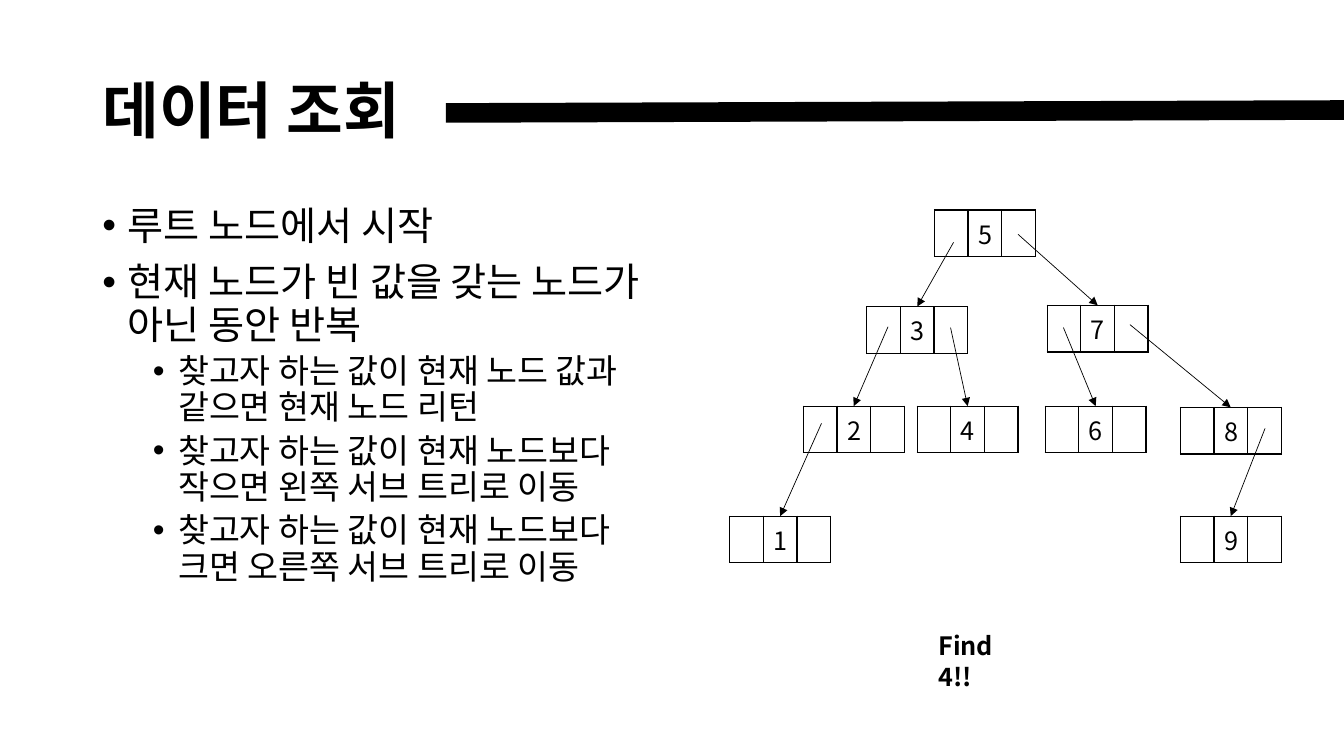
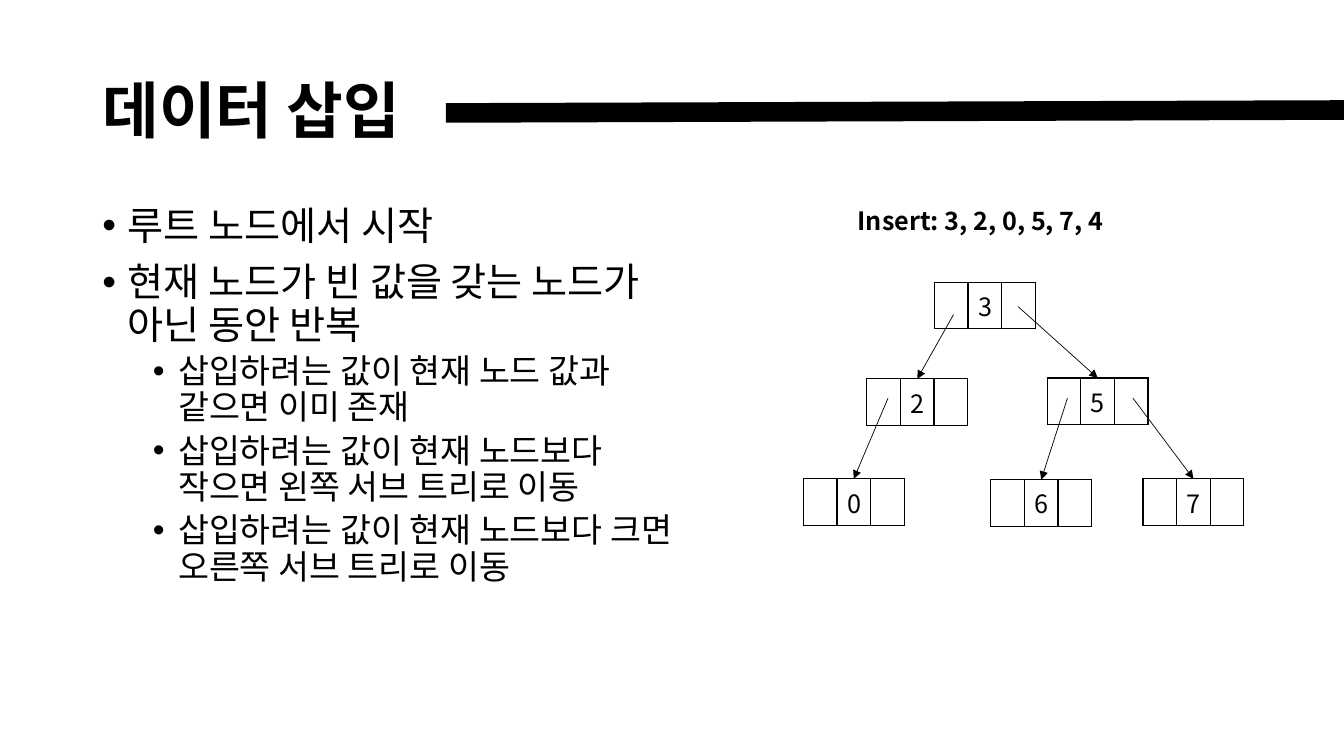
from pptx import Presentation
from pptx.dml.color import RGBColor
from pptx.enum.shapes import MSO_CONNECTOR as Connector
from pptx.enum.text import MSO_ANCHOR as Anchor, MSO_AUTO_SIZE as AutoSize, PP_ALIGN as Align
from pptx.oxml.ns import qn
from pptx.util import Inches, Pt
from lxml.etree import SubElement

COLUMNS, ROWS = 40, 18
NODE_COLUMNS = 3


def color(code):
    return RGBColor.from_string(code)


class TreeDeck:
    font = "Noto Sans CJK KR"
    ink = "000000"
    levels = [(28, 10, 0.25), (24, 5, 0.75)]
    hanging = 0.25

    def __init__(self):
        self.deck = Presentation()
        self.deck.slide_width = Inches(13.33)
        self.deck.slide_height = Inches(7.5)
        self.page = None

    def column(self, count):
        return round(self.deck.slide_width * count / COLUMNS)

    def row(self, count):
        return round(self.deck.slide_height * count / ROWS)

    def area(self, left, top, width, height):
        return self.column(left), self.row(top), self.column(width), self.row(height)

    def place(self, box, *area):
        box.left, box.top, box.width, box.height = self.area(*area)

    def add_span(self, para, text, size, bold=False):
        span = para.add_run()
        span.text = text
        span.font.size = Pt(size)
        span.font.bold = bold
        span.font.name = self.font
        span.font.color.rgb = color(self.ink)
        SubElement(span._r.get_or_add_rPr(), qn("a:ea"), typeface=self.font)

    def add_page(self, heading):
        self.page = self.deck.slides.add_slide(self.deck.slide_layouts[1])
        title = self.page.shapes.title
        self.place(title, 2.75, 0.96, 10.53, 3.48)
        frame = title.text_frame
        frame.auto_size = AutoSize.NONE
        frame.vertical_anchor = Anchor.MIDDLE
        para = frame.paragraphs[0]
        para.alignment = Align.LEFT
        para.line_spacing = 0.9
        self.add_span(para, heading, 44, bold=True)
        self.add_line((13.27, 2.69), (COLUMNS, 2.62), 14)

    def add_list(self, items):
        body = self.page.placeholders[1]
        self.place(body, 2.75, 4.8, 17.7, 11.42)
        frame = body.text_frame
        frame.auto_size = AutoSize.NONE
        for index, (level, text) in enumerate(items):
            para = frame.add_paragraph() if index else frame.paragraphs[0]
            size, space, indent = self.levels[level]
            para.level = level
            para.line_spacing = 0.9
            para.space_before = Pt(space)
            properties = para._p.get_or_add_pPr()
            properties.set("marL", str(Inches(indent)))
            properties.set("indent", str(-Inches(self.hanging)))
            SubElement(properties, qn("a:buFont"), typeface="Arial")
            SubElement(properties, qn("a:buChar"), char="•")
            self.add_span(para, text, size)

    def add_line(self, start, end, weight, arrow=False):
        line = self.page.shapes.add_connector(
            Connector.STRAIGHT,
            self.column(start[0]), self.row(start[1]),
            self.column(end[0]), self.row(end[1]))
        line.line.width = Pt(weight)
        line.line.color.rgb = color(self.ink)
        properties = line.element.spPr
        if arrow:
            SubElement(properties.find(qn("a:ln")), qn("a:tailEnd"), type="triangle")
        SubElement(properties, qn("a:effectLst"))

    def add_border(self, cell):
        properties = cell._tc.get_or_add_tcPr()
        for side in "LRTB":
            edge = SubElement(properties, qn(f"a:ln{side}"), w=str(Pt(1)))
            fill = SubElement(edge, qn("a:solidFill"))
            SubElement(fill, qn("a:srgbClr"), val=self.ink)

    def add_node(self, value, left, top):
        table = self.page.shapes.add_table(
            1, NODE_COLUMNS, *self.area(left, top, NODE_COLUMNS, 1)).table
        table.first_row = False
        table.horz_banding = False
        for cell in table.iter_cells():
            self.add_border(cell)
            cell.fill.background()
        self.add_span(table.cell(0, 1).text_frame.paragraphs[0], value, 18)

    def add_tree(self, nodes, branches):
        for value, (left, top) in nodes.items():
            self.add_node(value, left, top)
        for parent, child, across, down in branches:
            left, top = nodes[parent]
            child_left, child_top = nodes[child]
            self.add_line((left + across, top + down),
                          (child_left + NODE_COLUMNS / 2, child_top), 0.5, arrow=True)

    def add_caption(self, text, left, top, width):
        box = self.page.shapes.add_textbox(*self.area(left, top, width, 0.96))
        box.text_frame.word_wrap = True
        self.add_span(box.text_frame.paragraphs[0], text, 18, bold=True)


SHARED_ITEMS = [
    (0, "루트 노드에서 시작"),
    (0, "현재 노드가 빈 값을 갖는 노드가 아닌 동안 반복"),
]


def steps(subject, when_equal):
    return SHARED_ITEMS + [
        (1, f"{subject} 값이 현재 노드 값과 같으면 {when_equal}"),
        (1, f"{subject} 값이 현재 노드보다 작으면 왼쪽 서브 트리로 이동"),
        (1, f"{subject} 값이 현재 노드보다 크면 오른쪽 서브 트리로 이동"),
    ]


SEARCH_NODES = {
    "5": (27.81, 5), "3": (25.8, 7.3), "7": (31.17, 7.27),
    "2": (23.91, 9.67), "4": (27.3, 9.67), "6": (31.11, 9.67),
    "8": (35.13, 9.7), "1": (21.72, 12.29), "9": (35.13, 12.29),
}
SEARCH_BRANCHES = [
    ("5", "3", 0.57, 0.77), ("5", "7", 2.49, 0.58),
    ("3", "2", 0.63, 0.48), ("3", "4", 2.49, 0.5),
    ("7", "6", 0.48, 0.53), ("7", "8", 2.46, 0.46),
    ("2", "1", 0.54, 0.41), ("8", "9", 2.52, 0.5),
]
INSERT_NODES = {
    "3": (27.81, 6.72), "2": (25.8, 9.02), "5": (31.17, 9),
    "0": (23.91, 11.4), "6": (29.49, 11.42), "7": (34.02, 11.4),
}
INSERT_BRANCHES = [
    ("3", "2", 0.57, 0.77), ("3", "5", 2.49, 0.58),
    ("2", "0", 0.63, 0.46), ("5", "6", 0.6, 0.48), ("5", "7", 2.55, 0.48),
]


def main():
    slides = TreeDeck()

    slides.add_page("데이터 조회")
    slides.add_list(steps("찾고자 하는", "현재 노드 리턴"))
    slides.add_tree(SEARCH_NODES, SEARCH_BRANCHES)
    slides.add_caption("Find 4!!", 27.63, 14.9, 3)

    slides.add_page("데이터 삽입")
    slides.add_list(steps("삽입하려는", "이미 존재"))
    slides.add_tree(INSERT_NODES, INSERT_BRANCHES)
    slides.add_caption("Insert: 3, 2, 0, 5, 7, 4", 25.23, 4.78, 8.1)

    slides.deck.save("out.pptx")


if __name__ == "__main__":
    main()
